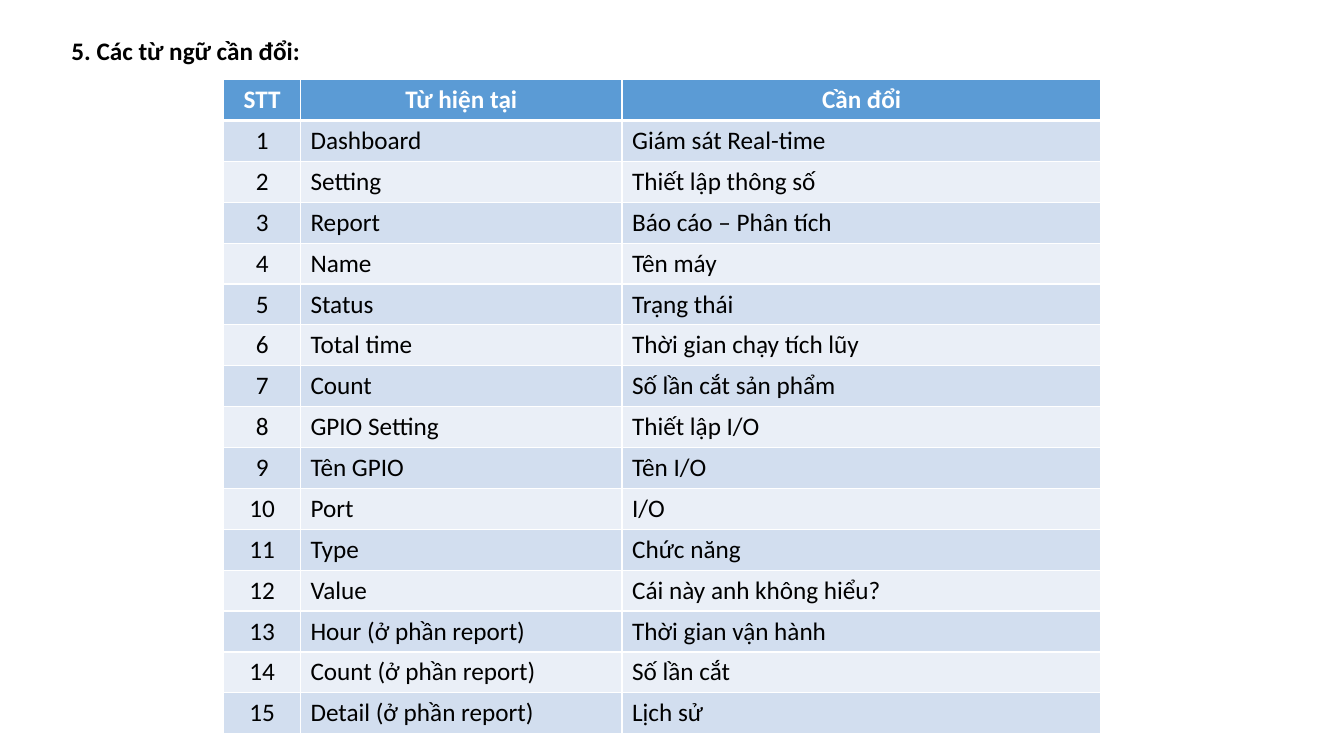
from dataclasses import dataclass

from lxml.etree import SubElement
from pptx import Presentation
from pptx.dml.color import RGBColor
from pptx.enum.text import MSO_ANCHOR, MSO_AUTO_SIZE, PP_ALIGN
from pptx.oxml.ns import qn
from pptx.util import Inches, Pt

TITLE = "5. Các từ ngữ cần đổi:"
HEADER = ("STT", "Từ hiện tại", "Cần đổi")
TERMS = [
    ("Dashboard", "Giám sát Real-time"),
    ("Setting", "Thiết lập thông số"),
    ("Report", "Báo cáo – Phân tích"),
    ("Name", "Tên máy"),
    ("Status", "Trạng thái"),
    ("Total time", "Thời gian chạy tích lũy"),
    ("Count", "Số lần cắt sản phẩm"),
    ("GPIO Setting", "Thiết lập I/O"),
    ("Tên GPIO", "Tên I/O"),
    ("Port", "I/O"),
    ("Type", "Chức năng"),
    ("Value", "Cái này anh không hiểu?"),
    ("Hour (ở phần report)", "Thời gian vận hành"),
    ("Count (ở phần report)", "Số lần cắt"),
    ("Detail (ở phần report)", "Lịch sử"),
]
COL_WIDTHS = (0.76, 3.19, 4.75)
TABLE_LEFT, TABLE_TOP, TABLE_HEIGHT = 2.22, 0.79, 6.49


@dataclass(frozen=True)
class Theme:
    font: str = "Calibri"
    size: int = 18
    text: str = "000000"
    header_text: str = "FFFFFF"
    header_fill: str = "5B9BD5"
    bands: tuple = ("D2DEEF", "EAEFF7")
    border: str = "FFFFFF"
    thin: int = 1
    thick: int = 3


THEME = Theme()


def write(tf, text, color, bold=False, align=PP_ALIGN.LEFT):
    tf.text = text
    p = tf.paragraphs[0]
    p.alignment = align
    font = p.runs[0].font
    font.name, font.size, font.bold = THEME.font, Pt(THEME.size), bold
    font.color.rgb = RGBColor.from_string(color)


def set_borders(cell, top, bottom):
    """Draw all four cell borders; top and bottom are widths in points."""
    tc_pr = cell._tc.get_or_add_tcPr()
    widths = {"lnL": THEME.thin, "lnR": THEME.thin, "lnT": top, "lnB": bottom}
    for tag, width in widths.items():
        ln = SubElement(tc_pr, qn(f"a:{tag}"), w=str(Pt(width)))
        fill = SubElement(ln, qn("a:solidFill"))
        SubElement(fill, qn("a:srgbClr"), val=THEME.border)


def add_title(s):
    sp = s.shapes.add_textbox(Inches(0.61), Inches(0.3), Inches(12.36), Inches(0.4))
    tf = sp.text_frame
    tf.word_wrap = True
    tf.auto_size = MSO_AUTO_SIZE.SHAPE_TO_FIT_TEXT
    write(tf, TITLE, THEME.text, bold=True)


def add_terms_table(s):
    rows = [HEADER] + [(str(n), *term) for n, term in enumerate(TERMS, 1)]
    table = s.shapes.add_table(
        len(rows), len(HEADER), Inches(TABLE_LEFT), Inches(TABLE_TOP),
        Inches(sum(COL_WIDTHS)), Inches(TABLE_HEIGHT)).table
    for column, width in zip(table.columns, COL_WIDTHS):
        column.width = Inches(width)
    for i, row in enumerate(rows):
        table.rows[i].height = Inches(TABLE_HEIGHT / len(rows))
        is_header = i == 0
        fill = THEME.header_fill if is_header else THEME.bands[(i - 1) % 2]
        color = THEME.header_text if is_header else THEME.text
        top = THEME.thick if i == 1 else THEME.thin
        bottom = THEME.thick if is_header else THEME.thin
        for j, text in enumerate(row):
            cell = table.cell(i, j)
            centred = is_header or j == 0
            write(cell.text_frame, text, color, is_header,
                  PP_ALIGN.CENTER if centred else PP_ALIGN.LEFT)
            cell.vertical_anchor = MSO_ANCHOR.TOP
            set_borders(cell, top, bottom)
            cell.fill.solid()
            cell.fill.fore_color.rgb = RGBColor.from_string(fill)


def main():
    prs = Presentation()
    prs.slide_width, prs.slide_height = Inches(13.33), Inches(7.5)
    s = prs.slides.add_slide(prs.slide_layouts[6])
    add_title(s)
    add_terms_table(s)
    prs.save("out.pptx")


if __name__ == "__main__":
    main()
